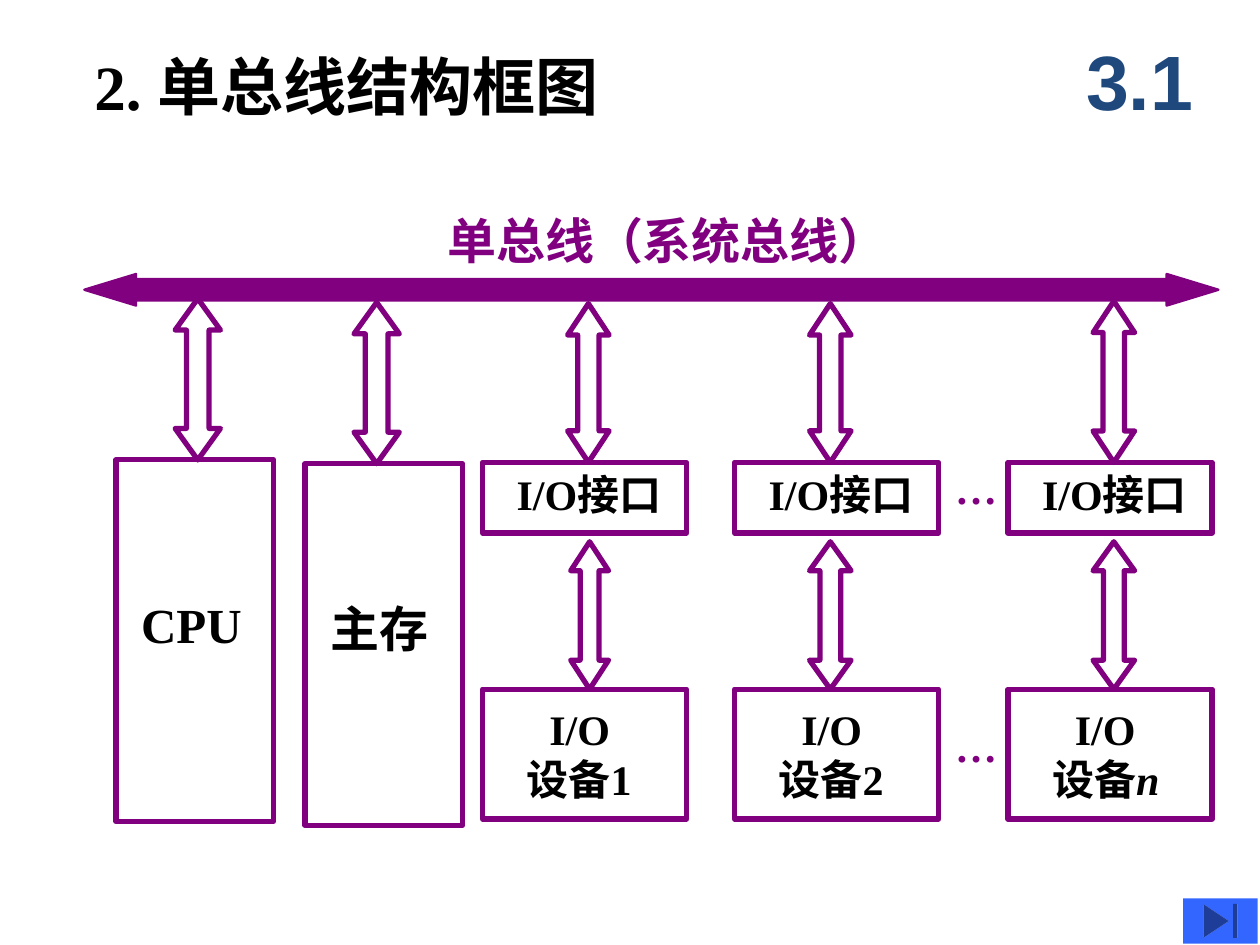
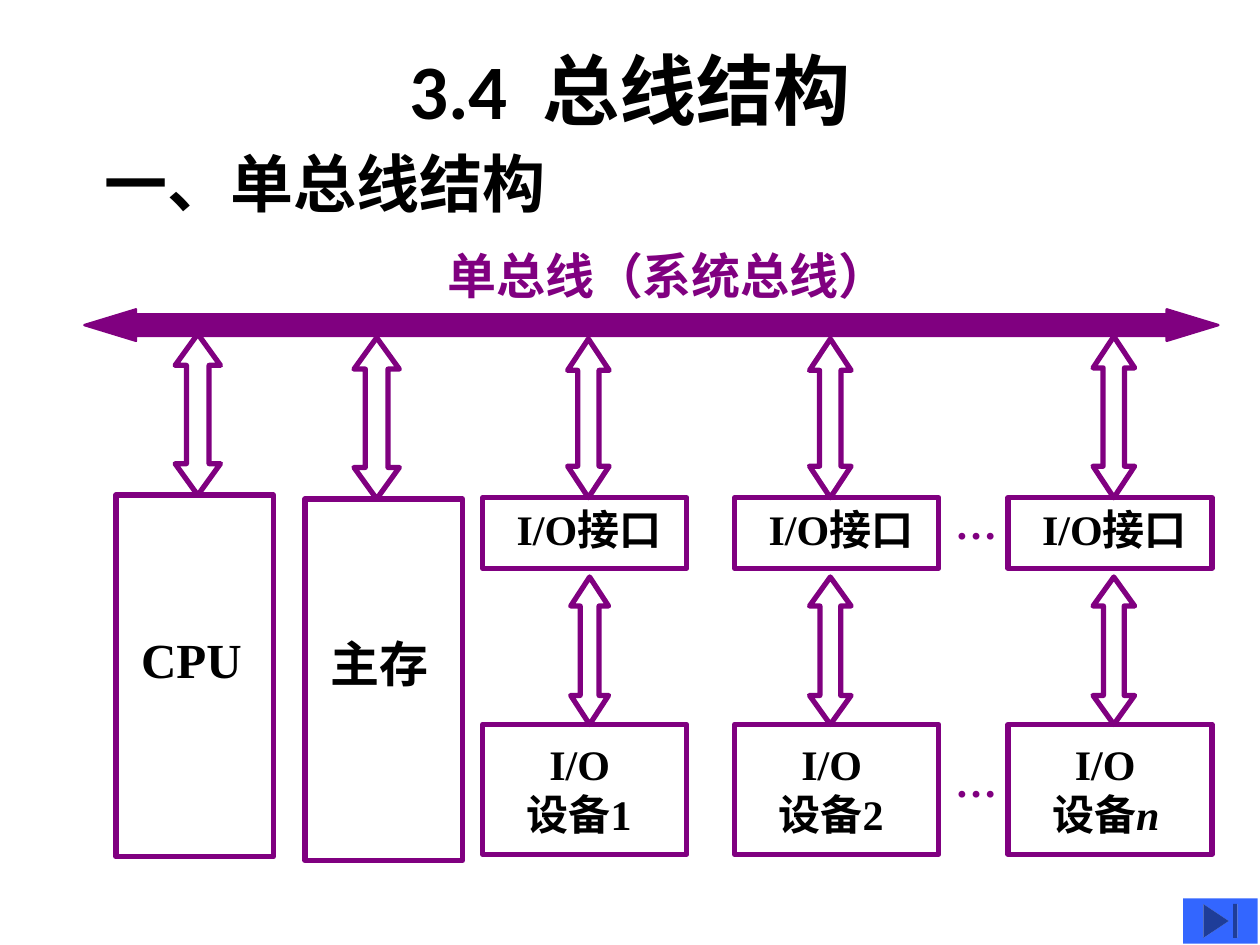
"""Two slides on the single-bus structure, sharing one bus diagram."""
from lxml.etree import SubElement
from pptx import Presentation
from pptx.dml.color import RGBColor
from pptx.enum.shapes import MSO_SHAPE as Kind
from pptx.enum.text import MSO_ANCHOR as Anchor, PP_ALIGN as Align
from pptx.oxml.ns import qn
from pptx.util import Inches, Pt

PURPLE = RGBColor(0x80, 0x00, 0x80)
BLACK = RGBColor(0x00, 0x00, 0x00)
NAVY = RGBColor(0x1F, 0x49, 0x7D)
BLUE = RGBColor(0x33, 0x66, 0xFF)
SERIF, HAN = "Times New Roman", "Noto Sans CJK SC"

BUS = "单总线（系统总线）"
PORT = "I/O接口"
UNITS = [("CPU", 0.92, 3.65), ("主存", 2.42, 3.68)]
PORTS = [
    (3.83, "1", 4.67, 2.41, 4.68, 0.15),
    (5.83, "2", 6.59, 2.41, 6.59, 0.165),
    (8.0, "n", 8.84, 2.39, 8.84, 0.165),
]
DOTS = [(3.67, 0.42), (5.72, 0.58)]
HEADS = [
    [("2. 单总线结构框图", (0.65, 0.33, 4.2, 0.7), 36, SERIF, BLACK, False),
     ("3.1", (8.42, 0.17, 1.25, 0.92), 44, "Arial", NAVY, True)],
    [("3.4  总线结构", (0.75, 0.08, 8.5, 1.25), 44, "Calibri", BLACK, True),
     ("一、单总线结构", (0.73, 1.1, 5.02, 0.7), 36, SERIF, BLACK, False)],
]
SHIFTS = [0, 0.28]


def add_run(para, text, size, font=SERIF, color=BLACK, italic=False):
    run = para.add_run()
    run.text = text
    face = run.font
    face.size, face.bold, face.name = Pt(size), True, font
    face.color.rgb = color
    if italic:
        face.italic = True
    SubElement(run._r.get_or_add_rPr(), qn("a:ea")).set("typeface", HAN)


def set_pad(frame, left, top, right=0, low=0):
    frame.margin_left, frame.margin_top = Inches(left), Inches(top)
    frame.margin_right, frame.margin_bottom = Inches(right), Inches(low)


def add_text(shapes, text, area, size, font, color, mid=False, pad=(0, 0), wrap=True):
    frame = shapes.add_textbox(*map(Inches, area)).text_frame
    frame.word_wrap = wrap
    set_pad(frame, *pad, *pad)
    para = frame.paragraphs[0]
    if mid:
        frame.vertical_anchor = Anchor.MIDDLE
        para.alignment = Align.CENTER
    add_run(para, text, size, font, color)


def style(shape, width=3, fill=None):
    shape.shadow.inherit = False
    shape.line.color.rgb, shape.line.width = PURPLE, Pt(width)
    if fill is None:
        shape.fill.background()
    else:
        shape.fill.solid()
        shape.fill.fore_color.rgb = fill


def add_box(shapes, area, left, top):
    box = shapes.add_shape(Kind.RECTANGLE, *map(Inches, area))
    style(box)
    frame = box.text_frame
    frame.vertical_anchor, frame.word_wrap = Anchor.TOP, False
    set_pad(frame, left, top)
    frame.paragraphs[0].alignment = Align.LEFT
    return frame


def add_arrow(shapes, mid, start, end, half, stem, head, flat=False, **look):
    near, far = start + head, end - head
    spots = [(start, 0), (near, half), (near, stem), (far, stem), (far, half),
             (end, 0), (far, -half), (far, -stem), (near, -stem), (near, -half)]
    dots = [(a, mid + b) if flat else (mid + b, a) for a, b in spots]
    dots = [(Inches(x), Inches(y)) for x, y in dots]
    path = shapes.build_freeform(*dots[0])
    path.add_line_segments(dots[1:], close=True)
    style(path.convert_to_shape(), **look)


def add_bus(shapes, dy):
    add_text(shapes, BUS, (3.55, 1.67 + dy, 3.52, 0.47), 28, HAN, PURPLE, wrap=False)
    add_arrow(shapes, 2.3 + dy, 0.67, 9.67, 0.125, 0.085, 0.41, flat=True,
              width=1.38, fill=PURPLE)


def add_parts(shapes, dy):
    for name, x, y in UNITS:
        frame = add_box(shapes, (x, y + dy, 1.25, 2.87), 0.2, 1.07)
        add_run(frame.paragraphs[0], name, 28)
        add_arrow(shapes, x + 0.65 if name == "CPU" else x + 0.57,
                  y + dy - 1.28, y + dy, 0.18, 0.09, 0.25)
    for x, num, mid, top, low, half in PORTS:
        frame = add_box(shapes, (x, 3.67 + dy, 1.62, 0.56), 0.27, 0.05)
        add_run(frame.paragraphs[0], PORT, 24)
        frame = add_box(shapes, (x, 5.47 + dy, 1.62, 1.03), 0.35, 0.11)
        first, last = frame.paragraphs[0], frame.add_paragraph()
        first._p.get_or_add_pPr().set("marL", str(Inches(0.18)))
        last.alignment = Align.LEFT
        add_run(first, "I/O", 24)
        add_run(last, "设备", 24)
        add_run(last, num, 24, italic=num == "n")
        add_arrow(shapes, mid, top + dy, 3.67 + dy, 0.165, 0.085, 0.25)
        add_arrow(shapes, low, 4.3 + dy, 5.47 + dy, half, half / 2, 0.23)
    for y, wide in DOTS:
        add_text(shapes, "…", (7.58, y + dy, wide, 0.4), 24, SERIF, PURPLE)


def add_button(shapes):
    area = map(Inches, (9.39, 7.13, 0.59, 0.36))
    button = shapes.add_shape(Kind.ACTION_BUTTON_END, *area)
    style(button, fill=BLUE)
    button.line.fill.background()


deck = Presentation()
deck.slide_width, deck.slide_height = Inches(10), Inches(7.5)
for heads, dy in zip(HEADS, SHIFTS):
    shapes = deck.slides.add_slide(deck.slide_layouts[6]).shapes
    for head in heads:
        add_text(shapes, *head, pad=(0.1, 0.05))
    add_bus(shapes.add_group_shape().shapes, dy)
    add_parts(shapes.add_group_shape().shapes, dy)
    add_button(shapes)
deck.save("out.pptx")
